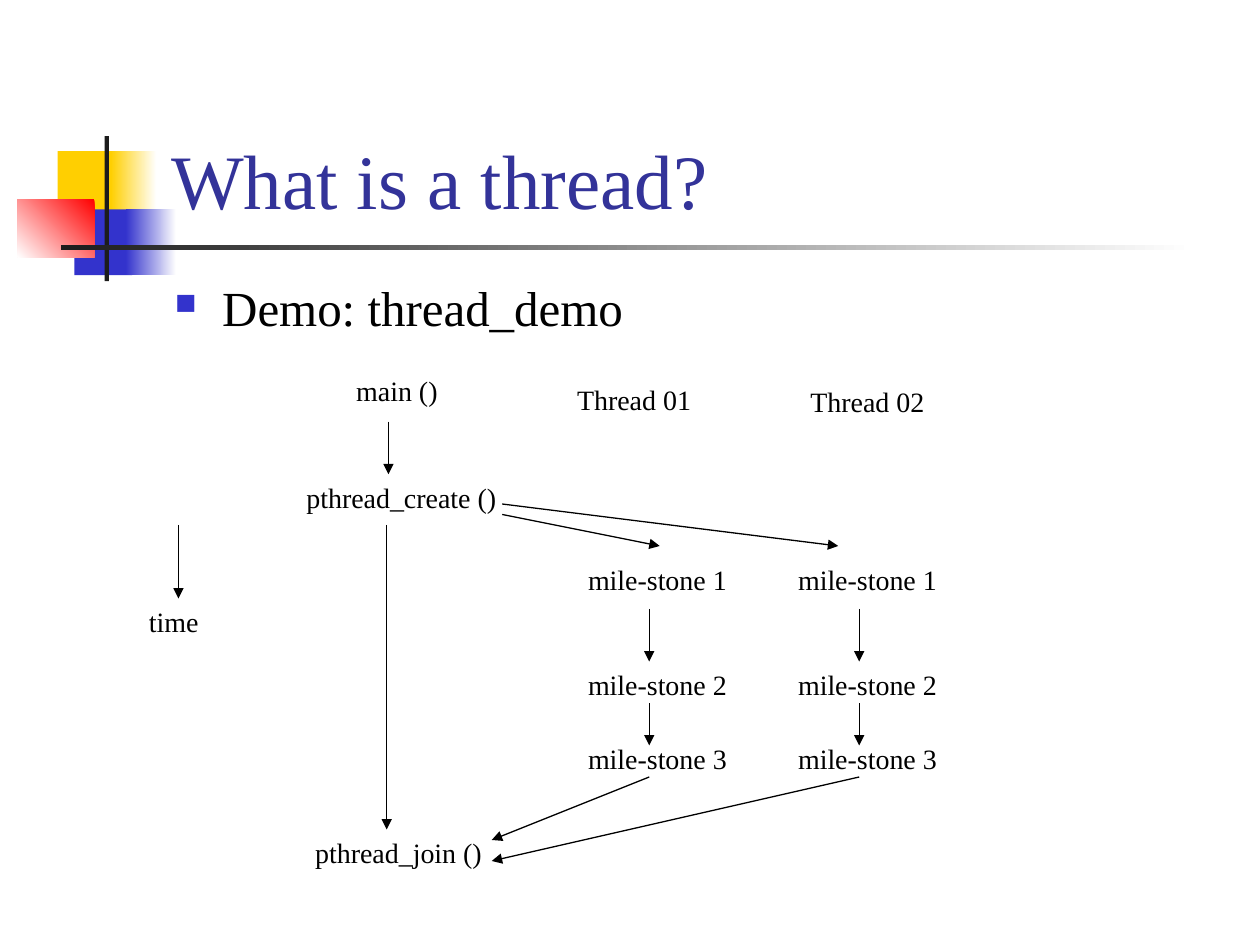
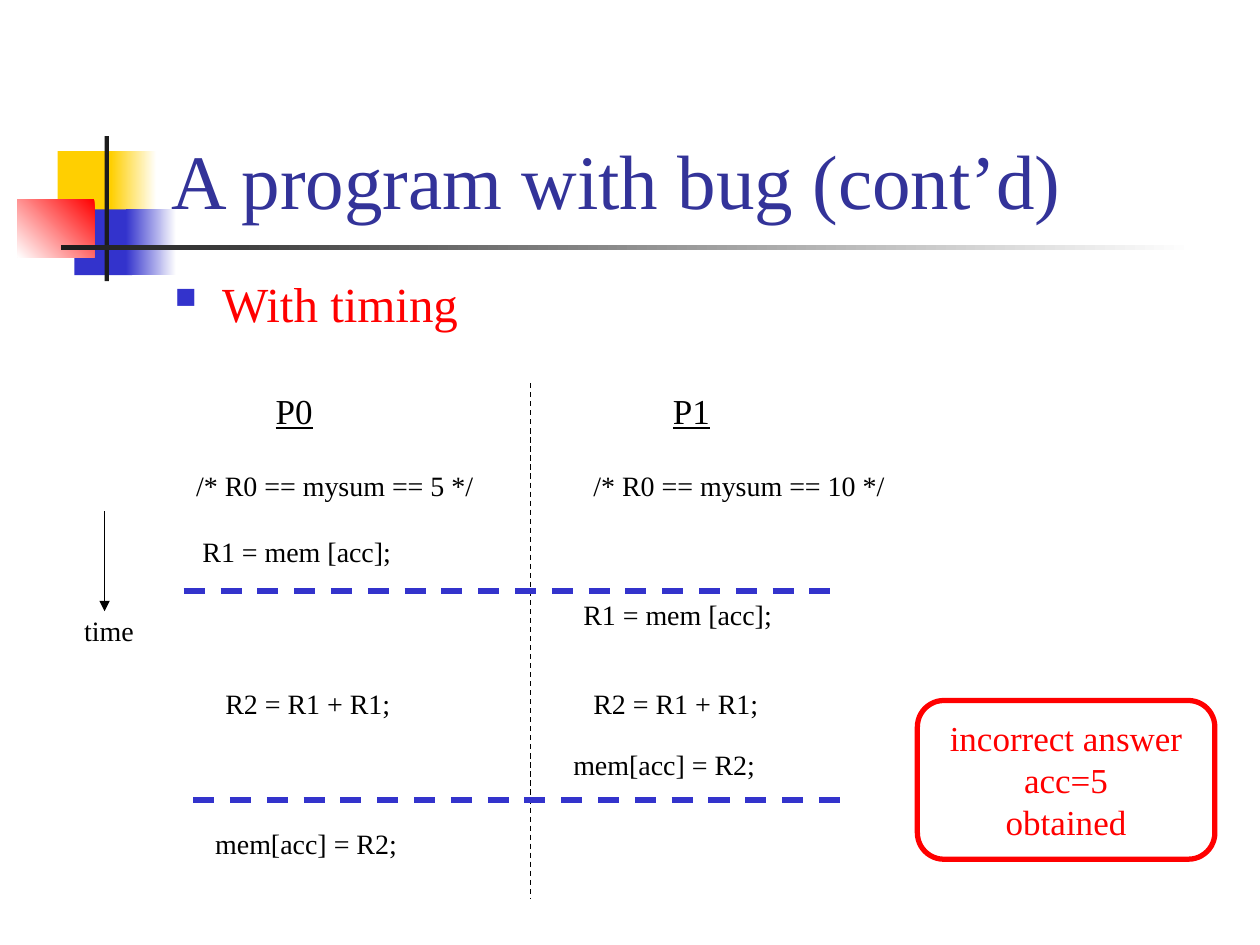
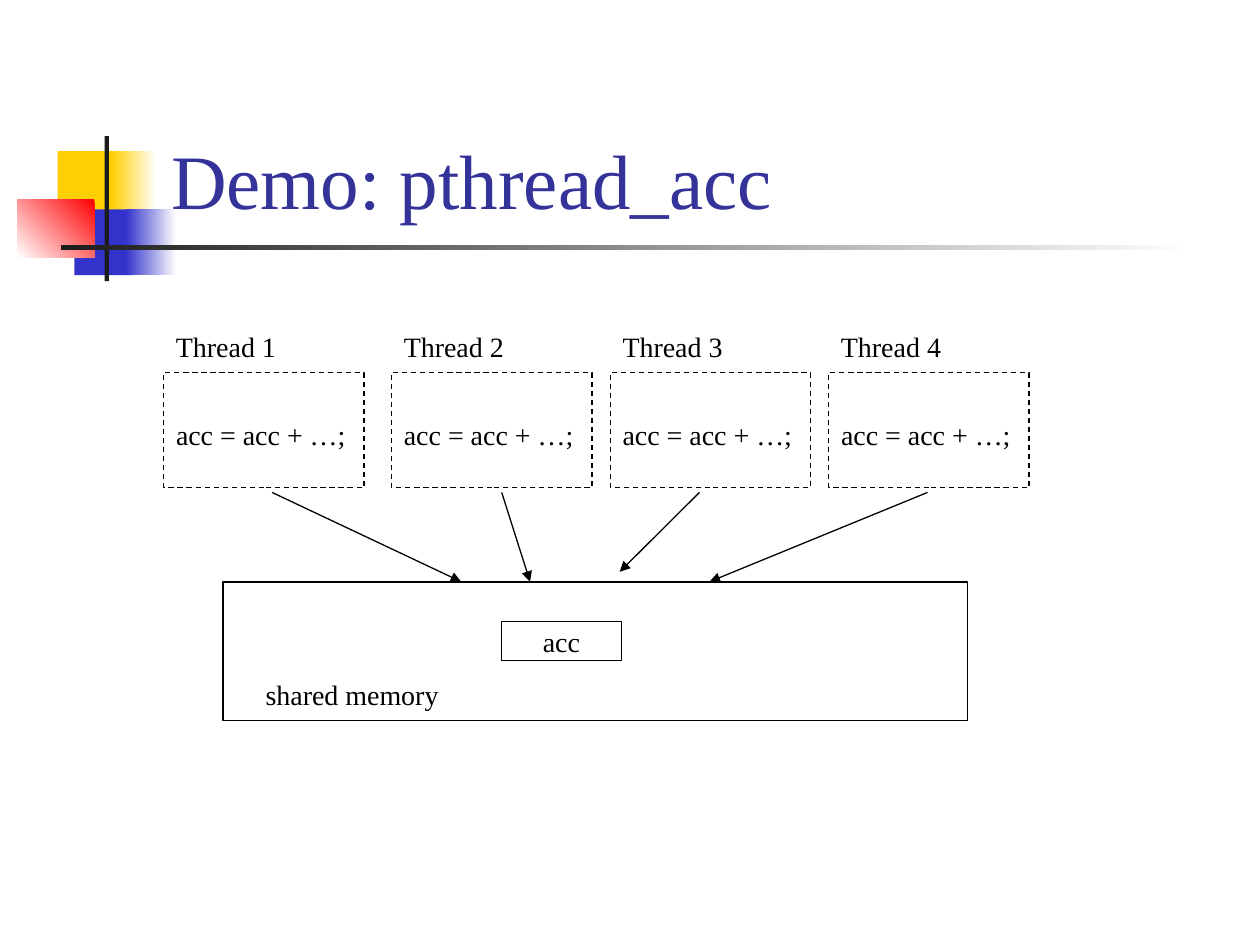
from lxml import etree
from pptx import Presentation
from pptx.dml.color import RGBColor
from pptx.enum.dml import MSO_LINE
from pptx.enum.shapes import MSO_CONNECTOR, MSO_SHAPE
from pptx.enum.text import MSO_ANCHOR, MSO_AUTO_SIZE, PP_ALIGN
from pptx.oxml.ns import qn
from pptx.util import Pt

STRAIGHT = MSO_CONNECTOR.STRAIGHT
RECT, ROUND = MSO_SHAPE.RECTANGLE, MSO_SHAPE.ROUNDED_RECTANGLE
DASH = MSO_LINE.DASH
TOP, MIDDLE, BOTTOM = MSO_ANCHOR.TOP, MSO_ANCHOR.MIDDLE, MSO_ANCHOR.BOTTOM
GROW = MSO_AUTO_SIZE.SHAPE_TO_FIT_TEXT
LEFT, CENTER = PP_ALIGN.LEFT, PP_ALIGN.CENTER

BLACK = RGBColor(0x00, 0x00, 0x00)
WHITE = RGBColor(0xFF, 0xFF, 0xFF)
RED = RGBColor(0xFF, 0x00, 0x00)
BLUE = RGBColor(0x33, 0x33, 0xCC)
NAVY = RGBColor(0x33, 0x33, 0x99)
GOLD = RGBColor(0xFF, 0xCF, 0x01)
DARK = RGBColor(0x1C, 0x1C, 0x1C)
FONT = "Times New Roman"

LOGO = (10, 77.8, 672.5, 82.8)
TITLE = (90.7, 16.6, 613.4, 115.2)
BODY = (92.9, 159, 612, 39)


def pts(*values):
    return [Pt(value) for value in values]


def write(frame, text, size=16, color=BLACK, align=LEFT, under=None):
    frame.text = text
    for para in frame.paragraphs:
        para.alignment = align
        font = para.font
        font.name, font.size, font.underline = FONT, Pt(size), under
        font.color.rgb = color


def label(slide, x, y, width, text, size=16, under=None):
    height = size * 1.15 + 7.2
    frame = slide.shapes.add_textbox(*pts(x, y, width, height)).text_frame
    frame.word_wrap = False
    frame.auto_size = GROW
    write(frame, text, size, under=under)


def line(slide, x1, y1, x2, y2, color=BLACK, width=0.75, dash=None, arrow=True):
    link = slide.shapes.add_connector(STRAIGHT, *pts(x1, y1, x2, y2))
    link.line.color.rgb = color
    link.line.width = Pt(width)
    link.line.dash_style = dash
    if arrow:
        edge = link._element.spPr.find(qn("a:ln"))
        etree.SubElement(edge, qn("a:tailEnd"), type="triangle")
    etree.SubElement(link._element.spPr, qn("a:effectLst"))


def block(slide, x, y, width, height, fill, fade=None, angle=0):
    shape = slide.shapes.add_shape(RECT, *pts(x, y, width, height))
    shape.shadow.inherit = False
    shape.line.fill.background()
    if fade is None:
        shape.fill.solid()
        shape.fill.fore_color.rgb = fill
        return
    shape.fill.gradient()
    shape.fill.gradient_angle = angle
    for stop, color in zip(shape.fill.gradient_stops, (fill, fade)):
        stop.color.rgb = color


def panel(slide, box, text="", kind=RECT, color=BLACK, width=0.75, dash=None,
          size=16, align=CENTER, anchor=MIDDLE, wrap=False, top=3.6):
    shape = slide.shapes.add_shape(kind, *pts(*box))
    shape.shadow.inherit = False
    shape.fill.background()
    shape.line.color.rgb = color
    shape.line.width = Pt(width)
    shape.line.dash_style = dash
    if text:
        frame = shape.text_frame
        frame.word_wrap = wrap
        frame.vertical_anchor = anchor
        frame.margin_top = Pt(top)
        write(frame, text, size, color, align)


def emblem(slide, box):
    x, y, width, height = box
    block(slide, x + 23, y + 8.6, 34.7, 37.5, GOLD)
    block(slide, x + 53.4, y + 8.6, 26, 37.5, GOLD, WHITE)
    block(slide, x + 32.5, y + 41.9, 33, 37.5, BLUE)
    block(slide, x + 62, y + 41.9, 28.8, 37.5, BLUE, WHITE)
    block(slide, x, y + 36, 44, 33.2, RED, WHITE, 225)
    block(slide, x + 49.8, y, 2.4, height, DARK)
    block(slide, x + 24.6, y + 62.4, width - 24.6, 2.4, DARK, WHITE)


def head(slide, box, text):
    frame = slide.shapes.add_textbox(*pts(*box)).text_frame
    frame.word_wrap = True
    frame.vertical_anchor = BOTTOM
    write(frame, text, 44, NAVY)


def bullet(slide, box, text, color, space):
    frame = slide.shapes.add_textbox(*pts(*box)).text_frame
    frame.word_wrap = True
    write(frame, text, 28, color)
    para = frame.paragraphs[0]
    para.line_spacing = space
    para.space_before = Pt(5.6)
    props = para._p.get_or_add_pPr()
    props.set("marL", str(Pt(27)))
    props.set("indent", str(-Pt(27)))
    tint = etree.Element(qn("a:buClr"))
    etree.SubElement(tint, qn("a:srgbClr"), val=str(BLUE))
    size = etree.Element(qn("a:buSzPct"), val="60000")
    mark = etree.Element(qn("a:buChar"), char="■")
    base = props.find(qn("a:defRPr"))
    for part in (tint, size, mark):
        base.addprevious(part)


def clock(slide, box, mid, gap=0):
    x, y, width, height = box
    line(slide, x + mid, y, x + mid, y + height)
    label(slide, x, y + height + gap, width, "time")


def flow(slide, box):
    x, y = box[:2]
    for dx, dy, width, text in (
        (118.5, 0, 61, "main ()"),
        (90, 61.2, 124, "pthread_create ()"),
        (95, 264, 110, "pthread_join ()"),
        (244.7, 4.8, 80, "Thread 01"),
        (378, 6, 80, "Thread 02"),
    ):
        label(slide, x + dx, y + dy, width, text)
    for x1, y1, x2, y2 in (
        (144, 31, 144, 61),
        (143, 90, 143, 264),
        (209, 84, 299, 102),
        (209, 78, 401, 102),
        (293, 234, 203, 270),
        (413, 234, 203, 282),
    ):
        line(slide, x + x1, y + y1, x + x2, y + y2)
    for left in (x + 251, x + 371):
        for step, dy in enumerate((108, 168, 210), 1):
            label(slide, left, y + dy, 94, f"mile-stone {step}")
        for start, end in ((138, 168), (192, 216)):
            line(slide, left + 42, y + start, left + 42, y + end)


def race(slide, box):
    x, y, width, height = box
    line(slide, x + 198, y, x + 198, y + height, dash=DASH, arrow=False)
    lanes = (
        ("P0", 5, 173.5, ((3.6, 82.8), (16.7, 170), (10.9, 249.8))),
        ("P1", 10, 181.4, ((-5.8, 118.8), (0, 170), (-11.5, 204.5))),
    )
    steps = (("R1 = mem [acc];", 123), ("R2 = R1 + R1;", 108.7),
             ("mem[acc] = R2;", 118.8))
    for lane, (name, total, wide, spots) in enumerate(lanes):
        left = x + lane * 227
        label(slide, left + 45.4, y, 38, name, 20, True)
        label(slide, left, y + 45.4, wide, f"/* R0 == mysum == {total} */")
        for (dx, dy), (text, span) in zip(spots, steps):
            label(slide, left + dx, y + dy, span, text)
    for dx, dy in ((0, 118.8), (5.4, 238.2)):
        line(slide, x + dx, y + dy, x + dx + width, y + dy, BLUE, 3, DASH, False)


def shared(slide, box):
    x, y = box[:2]
    panel(slide, box)
    label(slide, x + 17.3, y + 51.2, 113.8, "shared memory")
    panel(slide, (x + 159.2, y + 22.4, 68.4, 22.4), "acc")


def crew(slide, box):
    x, y = box[:2]
    spots = (
        (0, 62, 170, 147.4),
        (130.2, 63, 209.4, 147.4),
        (255.2, 51, 260.6, 141.8),
        (380, 56.5, 312, 147.4),
    )
    for count, (dx, start, end, drop) in enumerate(spots, 1):
        left = x + dx
        label(slide, left, y, 72, f"Thread {count}")
        panel(slide, (left, y + 28, 114.6, 65.6), "acc = acc + …;", dash=DASH,
              align=LEFT, anchor=TOP, wrap=True, top=25.6)
        line(slide, left + start, y + 96.4, x + end, y + drop)


def page(deck, title):
    slide = deck.slides.add_slide(deck.slide_layouts[6])
    emblem(slide, LOGO)
    head(slide, TITLE, title)
    return slide


def main():
    deck = Presentation()
    deck.slide_width, deck.slide_height = pts(720, 540)

    slide = page(deck, "What is a thread?")
    bullet(slide, BODY, "Demo: thread_demo", BLACK, 0.9)
    flow(slide, (78, 210, 465, 291))
    clock(slide, (78, 300, 43, 42), 24)

    slide = page(deck, "A program with bug (cont’d)")
    bullet(slide, BODY, "With timing", RED, 0.8)
    race(slide, (105, 219, 374, 295))
    clock(slide, (41, 292.3, 43, 57), 18.8, -2)
    panel(slide, (524.2, 400.3, 170, 90.7), "incorrect answer\nacc=5\nobtained",
          ROUND, RED, 3, size=20)

    slide = page(deck, "Demo: pthread_acc")
    shared(slide, (127.4, 332.6, 425.5, 79.2))
    crew(slide, (93.5, 185, 494.6, 147.4))

    deck.save("out.pptx")


if __name__ == "__main__":
    main()
